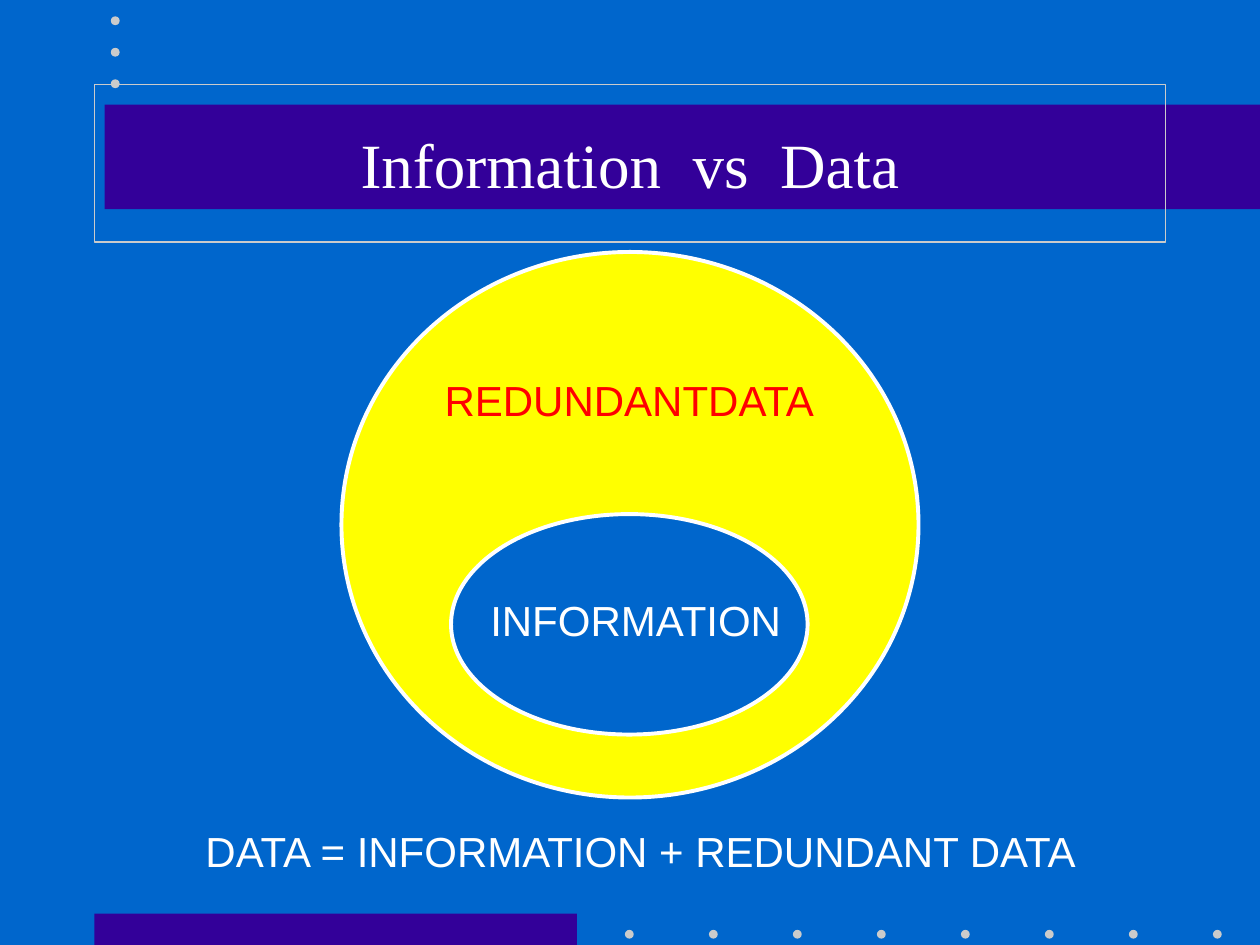
from pptx import Presentation
from pptx.dml.color import RGBColor
from pptx.enum.shapes import MSO_SHAPE
from pptx.enum.text import MSO_ANCHOR, PP_ALIGN
from pptx.util import Inches, Pt

COLORS = {
    "blue": "0066CC",
    "purple": "330099",
    "gray": "CBCBCB",
    "yellow": "FFFF00",
    "red": "FF0000",
    "white": "FFFFFF",
}
TITLE = ("Information  vs  Data", (0.75, 0.67, 8.5, 1.25))
BARS = [(0.75, 7.25, 3.83, 0.25), (0.83, 0.83, 9.17, 0.83)]
DOT_SIZE = 0.07
DOT_ROWS = [
    {"start": (4.96, 7.38), "step": (2 / 3, 0), "count": 8},
    {"start": (0.88, 0.13), "step": (0, 0.25), "count": 3},
]
SETS = [
    ((2.71, 2, 4.58, 4.33), "yellow"),
    ((3.58, 4.08, 2.83, 1.75), "blue"),
]
LABELS = [
    ("REDUNDANTDATA", (3.33, 2.92, 3.33, 0.5), "red"),
    ("INFORMATION", (3.67, 4.67, 2.75, 0.5), "white"),
    ("DATA = INFORMATION + REDUNDANT DATA", (1, 6.5, 8.17, 0.5), "white"),
]


def color(name):
    return RGBColor.from_string(COLORS[name])


def inches(box):
    return [Inches(length) for length in box]


def add_filled(slide, kind, box, fill, line=None):
    shape = slide.shapes.add_shape(kind, *inches(box))
    shape.shadow.inherit = False
    shape.fill.solid()
    shape.fill.fore_color.rgb = color(fill)
    if line:
        shape.line.color.rgb = color(line)
        shape.line.width = Pt(2.25)
    else:
        shape.line.fill.background()


def write(shape, text, font_name, size, text_color):
    shape.text_frame.word_wrap = True
    paragraph = shape.text_frame.paragraphs[0]
    paragraph.text = text
    paragraph.alignment = PP_ALIGN.CENTER
    paragraph.font.name = font_name
    paragraph.font.size = Pt(size)
    paragraph.font.color.rgb = color(text_color)


def add_title(slide):
    text, box = TITLE
    title = slide.shapes.title
    title.left, title.top, title.width, title.height = inches(box)
    title.line.color.rgb = color("gray")
    title.line.width = Pt(0.75)
    title.text_frame.vertical_anchor = MSO_ANCHOR.MIDDLE
    write(title, text, "Times New Roman", 36, "white")
    title.element.getparent().append(title.element)


def main():
    """Build the slide that sets information against data."""
    presentation = Presentation()
    presentation.slide_width, presentation.slide_height = Inches(10), Inches(7.5)
    slide = presentation.slides.add_slide(presentation.slide_layouts[5])
    slide.background.fill.solid()
    slide.background.fill.fore_color.rgb = color("blue")

    for box in BARS:
        add_filled(slide, MSO_SHAPE.RECTANGLE, box, "purple")
    for row in DOT_ROWS:
        (left, top), (step_x, step_y) = row["start"], row["step"]
        for index in range(row["count"]):
            box = (left + index * step_x, top + index * step_y, DOT_SIZE, DOT_SIZE)
            add_filled(slide, MSO_SHAPE.OVAL, box, "gray")
    add_title(slide)
    for box, fill in SETS:
        add_filled(slide, MSO_SHAPE.OVAL, box, fill, "white")
    for text, box, text_color in LABELS:
        label = slide.shapes.add_textbox(*inches(box))
        write(label, text, "Arial", 24, text_color)

    presentation.save("out.pptx")


if __name__ == "__main__":
    main()
